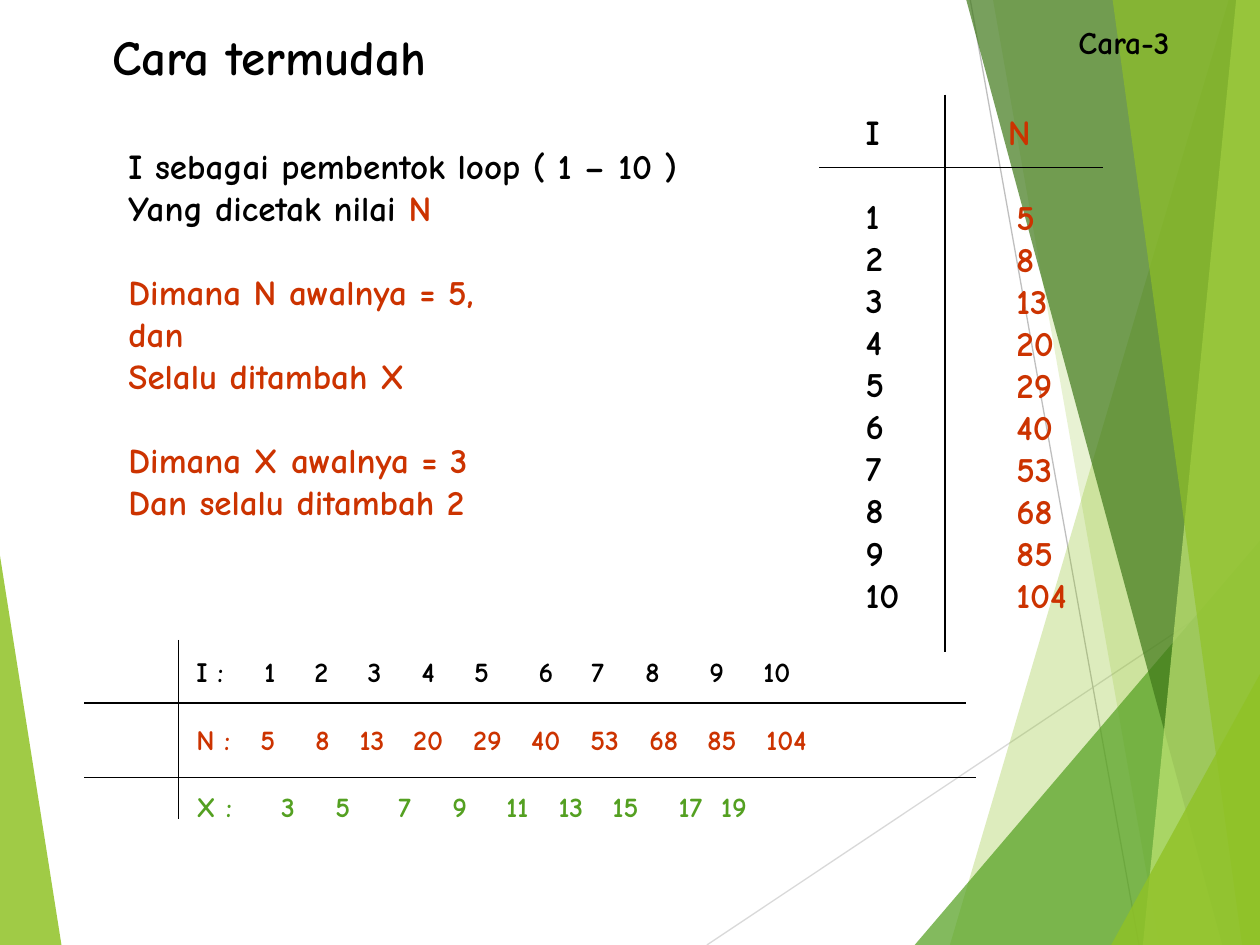
from itertools import accumulate
from lxml import etree
from pptx import Presentation
from pptx import util as u
from pptx.dml import color
from pptx.enum import shapes, text
from pptx.oxml import ns

FONT = "Comic Neue"
WIDE, HIGH = 25.4, 19.05
HEX = {
    "black": "000000", "red": "CC3300", "green": "54A021", "lime": "90C226",
    "pale": "C0E474", "dark": "3F7819", "mist": "D9D9D9", "grey": "BFBFBF",
}
STEPS = list(range(3, 20, 2))
SUMS = list(accumulate([5] + STEPS))


def rgb(name):
    return color.RGBColor.from_string(HEX[name])


def put_text(slide, box, paras, size=20, tint="black", wrap=False):
    """Each paragraph is a dict: runs [(words, tint)], gap before, tab stops."""
    shape = slide.shapes.add_textbox(*(u.Cm(v) for v in box))
    frame = shape.text_frame
    frame.word_wrap = wrap
    for i, para in enumerate(paras):
        if isinstance(para, str):
            para = {"runs": [(para, tint)]}
        p = frame.paragraphs[0] if i == 0 else frame.add_paragraph()
        p.alignment = text.PP_ALIGN.LEFT
        if para.get("gap"):
            p.space_before = u.Pt(para["gap"])
        if para.get("tabs"):
            stops = etree.SubElement(p._p.get_or_add_pPr(), ns.qn("a:tabLst"))
            for pos in para["tabs"]:
                etree.SubElement(stops, ns.qn("a:tab"), pos=str(u.Cm(pos)), algn="l")
        for words, shade in para["runs"]:
            run = p.add_run()
            run.text = words
            run.font.name, run.font.size, run.font.bold = FONT, u.Pt(size), True
            run.font.color.rgb = rgb(shade)


def put_line(slide, x1, y1, x2, y2, tint="black"):
    line = slide.shapes.add_connector(
        shapes.MSO_CONNECTOR.STRAIGHT, *(u.Cm(v) for v in (x1, y1, x2, y2)))
    line.line.color.rgb = rgb(tint)
    line.line.width = u.Pt(0.75)
    etree.SubElement(line._element.spPr, ns.qn("a:effectLst"))


def put_facet(slide, points, tint, alpha):
    # Points are in cm; the builder wants whole numbers, so use 1/100 cm
    grid = [(round(x * 100), round(y * 100)) for x, y in points]
    pen = slide.shapes.build_freeform(*grid[0], scale=u.Cm(1) / 100)
    pen.add_line_segments(grid[1:], close=True)
    shape = pen.convert_to_shape()
    shape.shadow.inherit = False
    shape.fill.solid()
    shape.fill.fore_color.rgb = rgb(tint)
    shape.line.fill.background()
    fill = shape._element.spPr.find(ns.qn("a:solidFill"))
    etree.SubElement(fill[0], ns.qn("a:alpha"), val=str(alpha * 1000))


def draw_back(slide):
    def band(top, foot, tint, alpha):
        put_facet(slide, [(top, 0), (foot, HIGH), (WIDE, HIGH), (WIDE, 0)], tint, alpha)

    def wedge(foot, rise, tint, alpha):
        put_facet(slide, [(foot, HIGH), (WIDE, rise), (WIDE, HIGH)], tint, alpha)

    put_facet(slide, [(0, 11.2), (1.24, HIGH), (0, HIGH)], "lime", 85)
    put_line(slide, 14.25, HIGH, WIDE, 11.61, "mist")
    put_line(slide, 19.56, 0, 22.96, HIGH, "grey")
    band(24.77, 19.15, "lime", 30)
    band(20.02, 23.37, "lime", 20)
    wedge(18.44, 10.9, "green", 72)
    band(19.48, 24.64, "dark", 70)
    band(24.92, 23.04, "pale", 70)
    band(22.43, 25.04, "lime", 65)
    wedge(22.4, 13.59, "lime", 80)


def draw_head(slide):
    put_text(slide, (2.01, 0.41, 6.88, 1.45), ["Cara termudah"], size=28)
    put_text(slide, (21.49, 0.33, 2.36, 1.02), ["Cara-3"], size=18)


def draw_rules(slide, x, y):
    put_text(slide, (x, y, 11.58, 7.87), [
        "I sebagai pembentok loop ( 1 – 10 )",
        {"runs": [("Yang dicetak nilai ", "black"), ("N", "red")]},
        {"runs": [("Dimana N awalnya = 5,", "red")], "gap": 24},
        {"runs": [("dan", "red")]},
        {"runs": [("Selalu ditambah X", "red")]},
        {"runs": [("Dimana X awalnya = 3", "red")], "gap": 24},
        {"runs": [("Dan selalu ditambah 2", "red")]},
    ])


def draw_pairs(slide, x, y):
    """Upright table of I against N."""
    first = {"runs": [("1", "black")], "gap": 24}
    rest = [str(n) for n in range(2, 11)]
    put_text(slide, (x + 0.69, y + 0.2, 1.19, 10.41), ["I", first] + rest)
    put_text(slide, (x + 3.56, y + 0.2, 0.97, 1.12), ["N"], tint="red")
    put_text(slide, (x + 3.73, y + 1.9, 1.52, 8.74), [str(n) for n in SUMS], tint="red")
    put_line(slide, x + 2.54, y, x + 2.54, y + 11.23)
    put_line(slide, x, y + 1.47, x + 5.72, y + 1.47)


def draw_series(slide, x, y):
    """Flat table of I, N and X, with each row on its own tab stops."""
    rows = [
        ("I :", range(1, 11), "black",
         [1.37, 2.38, 3.45, 4.54, 5.6, 6.9, 7.96, 9.05, 10.34, 11.43]),
        ("N :", SUMS, "red",
         [1.29, 2.4, 3.29, 4.37, 5.58, 6.75, 7.94, 9.13, 10.3, 11.49]),
        ("X :", STEPS, "green",
         [1.71, 2.8, 4.07, 5.16, 6.25, 7.3, 8.39, 9.72, 10.58]),
    ]
    paras = [
        {"runs": [("\t".join([label, *map(str, nums)]), tint)],
         "tabs": tabs, "gap": 19.2 if i else 0}
        for i, (label, nums, tint, tabs) in enumerate(rows)
    ]
    put_text(slide, (x + 2.01, y + 0.18, 13.2, 3.66), paras, size=16, wrap=True)
    put_line(slide, x, y + 1.27, x + 17.78, y + 1.27)
    put_line(slide, x, y + 2.77, x + 17.98, y + 2.77)
    put_line(slide, x + 1.9, y, x + 1.9, y + 3.6)


def main():
    deck = Presentation()
    deck.slide_width, deck.slide_height = u.Cm(WIDE), u.Cm(HIGH)
    slide = deck.slides.add_slide(deck.slide_layouts[6])
    draw_back(slide)
    draw_pairs(slide, 16.51, 1.91)
    draw_head(slide)
    draw_rules(slide, 2.34, 2.79)
    draw_series(slide, 1.7, 12.9)
    deck.save("out.pptx")


if __name__ == "__main__":
    main()
